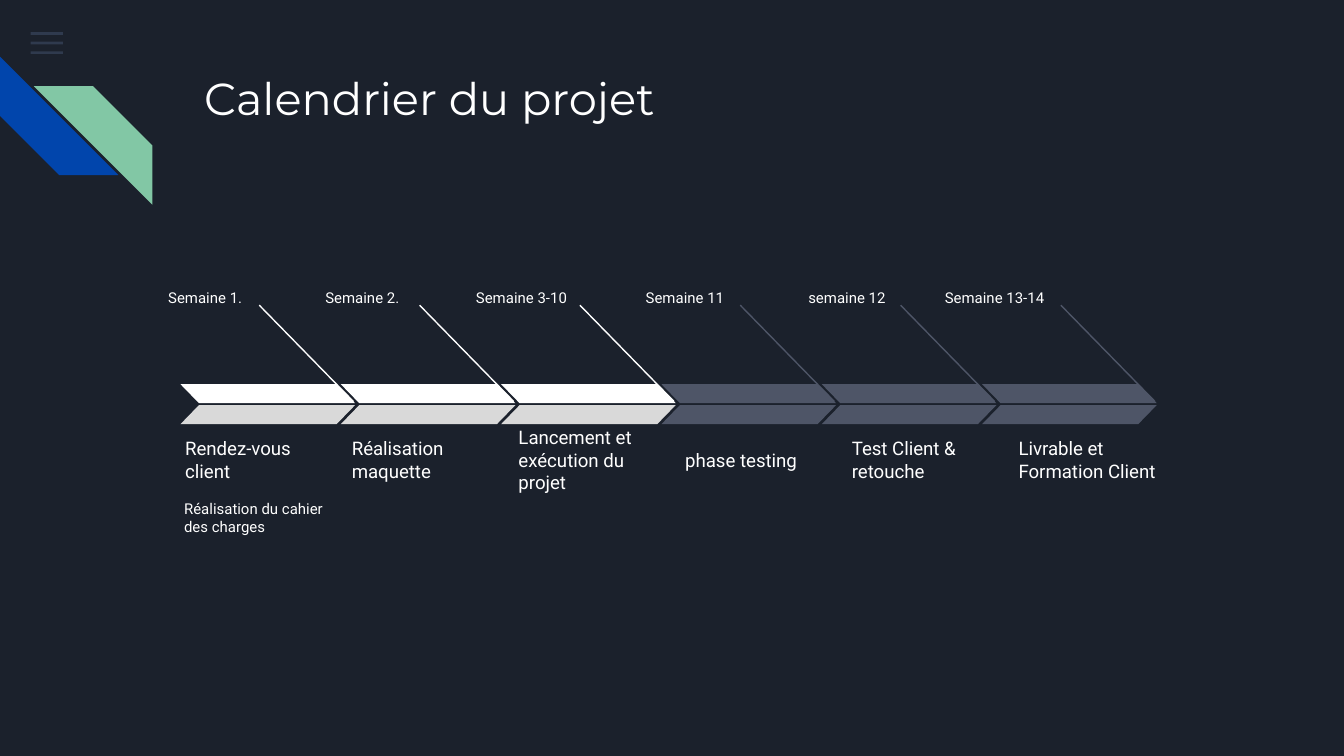
from dataclasses import dataclass

from lxml import etree
from pptx import Presentation
from pptx.dml.color import RGBColor
from pptx.enum.shapes import MSO_CONNECTOR, MSO_SHAPE
from pptx.enum.text import MSO_ANCHOR, PP_ALIGN
from pptx.oxml.ns import qn
from pptx.util import Cm, Pt

RECTANGLE = MSO_SHAPE.RECTANGLE
STRIPE = MSO_SHAPE.DIAGONAL_STRIPE
PARALLELOGRAM = MSO_SHAPE.PARALLELOGRAM
STRAIGHT = MSO_CONNECTOR.STRAIGHT
TOP = MSO_ANCHOR.TOP
MIDDLE = MSO_ANCHOR.MIDDLE
LEFT = PP_ALIGN.LEFT
RIGHT = PP_ALIGN.RIGHT


@dataclass(frozen=True)
class Theme:
    background: str = "1B212C"
    text: str = "FFFFFF"
    menu: str = "55688B"
    blue: str = "0145AC"
    green: str = "82C7A5"
    done_top: str = "FFFFFF"
    done_bottom: str = "D9D9D9"
    pending: str = "4E5567"
    title_font: str = "Montserrat"
    body_font: str = "Roboto"
    title_size: int = 24
    label_size: int = 10
    small_size: int = 8


THEME = Theme()
DONE_COUNT = 3
STEP_PITCH = 3.03
LABEL_PITCH = 3.15
STEPS = [
    ("Semaine 1.", 2.75, 2.08, "Rendez-vous client"),
    ("Semaine 2.", 5.26, 2.54, "Réalisation maquette"),
    ("Semaine 3-10", 8.28, 2.69, "Lancement et exécution du projet"),
    ("Semaine 11", 11.4, 2.54, "phase testing"),
    ("semaine 12", 14.45, 2.54, "Test Client & retouche"),
    ("Semaine 13-14", 17.3, 2.69, "Livrable et Formation Client"),
]


def color(value):
    return RGBColor.from_string(value)


def add_block(page, kind, area, fill, adjustment=None, flipped=False, rotation=0):
    block = page.shapes.add_shape(kind, *map(Cm, area))
    block.shadow.inherit = False
    block.fill.solid()
    block.fill.fore_color.rgb = color(fill)
    block.line.fill.background()
    block.rotation = rotation
    if adjustment is not None:
        block.adjustments[0] = adjustment
    if flipped:
        block._element.spPr.find(qn("a:xfrm")).set("flipH", "1")
    return block


def add_text(page, area, text, size, font=THEME.body_font, align=LEFT, anchor=TOP):
    box = page.shapes.add_textbox(*map(Cm, area))
    frame = box.text_frame
    frame_format = {
        "word_wrap": True,
        "vertical_anchor": anchor,
        "margin_left": Cm(0.25),
        "margin_right": Cm(0.25),
        "margin_top": Cm(0.25),
        "margin_bottom": Cm(0.25),
    }
    for name, value in frame_format.items():
        setattr(frame, name, value)
    para = frame.paragraphs[0]
    para.alignment = align
    span = para.add_run()
    span.text = text
    for name, value in {"name": font, "size": Pt(size)}.items():
        setattr(span.font, name, value)
    span.font.color.rgb = color(THEME.text)


def add_line(page, start, end, stroke):
    line = page.shapes.add_connector(STRAIGHT, *map(Cm, (*start, *end)))
    line.line.color.rgb = color(stroke)
    line.line.width = Pt(0.75)
    etree.SubElement(line._element.spPr, qn("a:effectLst"))


def add_menu_icon(page):
    for row in range(3):
        bar = add_block(page, RECTANGLE, (0.58, 0.61 + 0.18 * row, 0.61, 0.05), THEME.menu)
        tint = bar._element.spPr.find(qn("a:solidFill"))[0]
        etree.SubElement(tint, qn("a:alpha"), val="36000")


def add_ornament(page):
    add_block(page, STRIPE, (0, 1.07, 2.24, 2.24), THEME.blue, 0.5, rotation=270)
    add_block(page, STRIPE, (0.64, 1.63, 2.24, 2.24), THEME.green, 0.5, flipped=True)


def add_arrow(page, index):
    done = index < DONE_COUNT
    top = THEME.done_top if done else THEME.pending
    bottom = THEME.done_bottom if done else THEME.pending
    shift = STEP_PITCH * index
    add_line(page, (4.9 + shift, 5.77), (6.68 + shift, 7.59), top)
    left = 3.41 + shift
    add_block(page, PARALLELOGRAM, (left, 7.26, 3.3, 0.36), top, 0.97, flipped=True)
    add_block(page, PARALLELOGRAM, (left, 7.66, 3.3, 0.36), bottom, 0.97)


def main():
    deck = Presentation()
    deck.slide_width, deck.slide_height = Cm(25.4), Cm(14.29)
    page = deck.slides.add_slide(deck.slide_layouts[6])
    page.background.fill.solid()
    page.background.fill.fore_color.rgb = color(THEME.background)

    add_menu_icon(page)
    add_ornament(page)
    add_text(page, (3.61, 1.09, 19.56, 2.54), "Calendrier du projet",
             THEME.title_size, THEME.title_font)
    for index, (week, left, width, label) in enumerate(STEPS):
        add_arrow(page, index)
        add_text(page, (left, 5.28, width, 0.58), week, THEME.small_size, align=RIGHT)
        add_text(page, (3.25 + LABEL_PITCH * index, 8.13, LABEL_PITCH, 1.12), label,
                 THEME.label_size, anchor=MIDDLE)
    add_text(page, (3.23, 9.19, 3.25, 1.85), "Réalisation du cahier des charges",
             THEME.small_size)
    deck.save("out.pptx")


if __name__ == "__main__":
    main()
